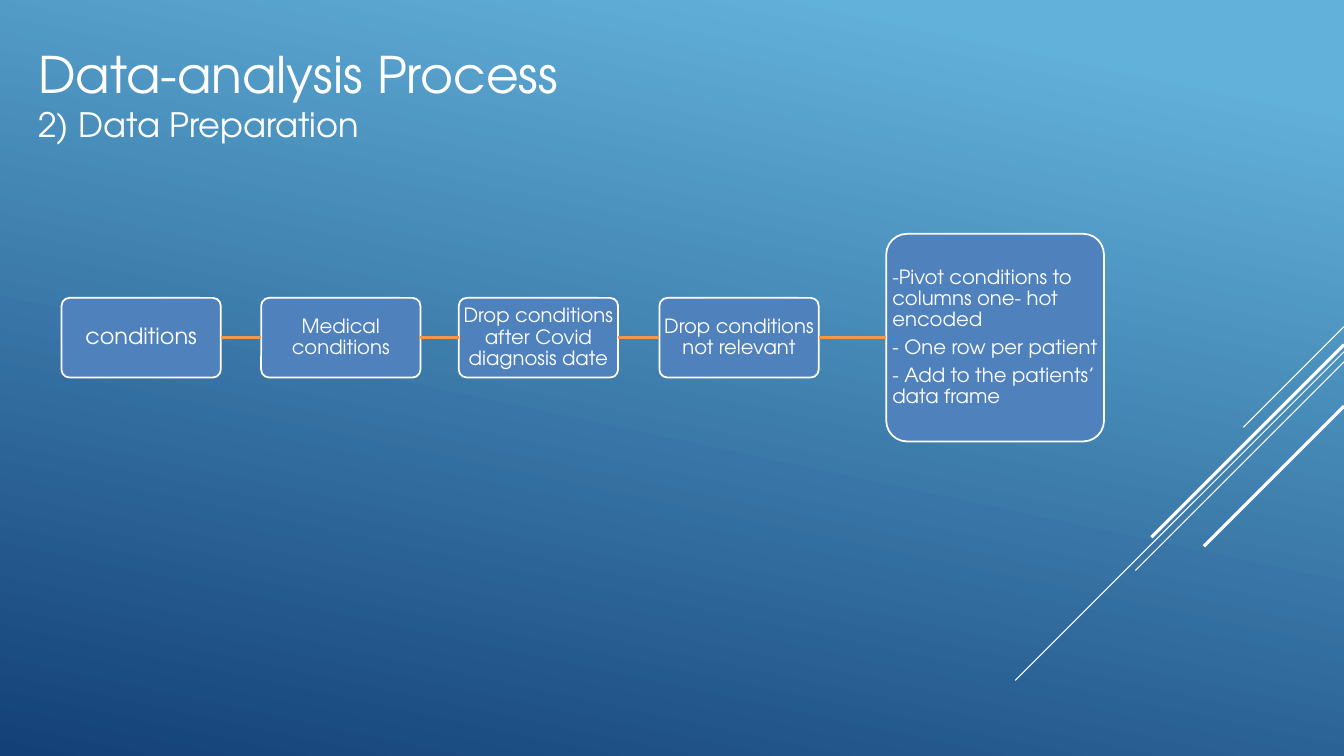
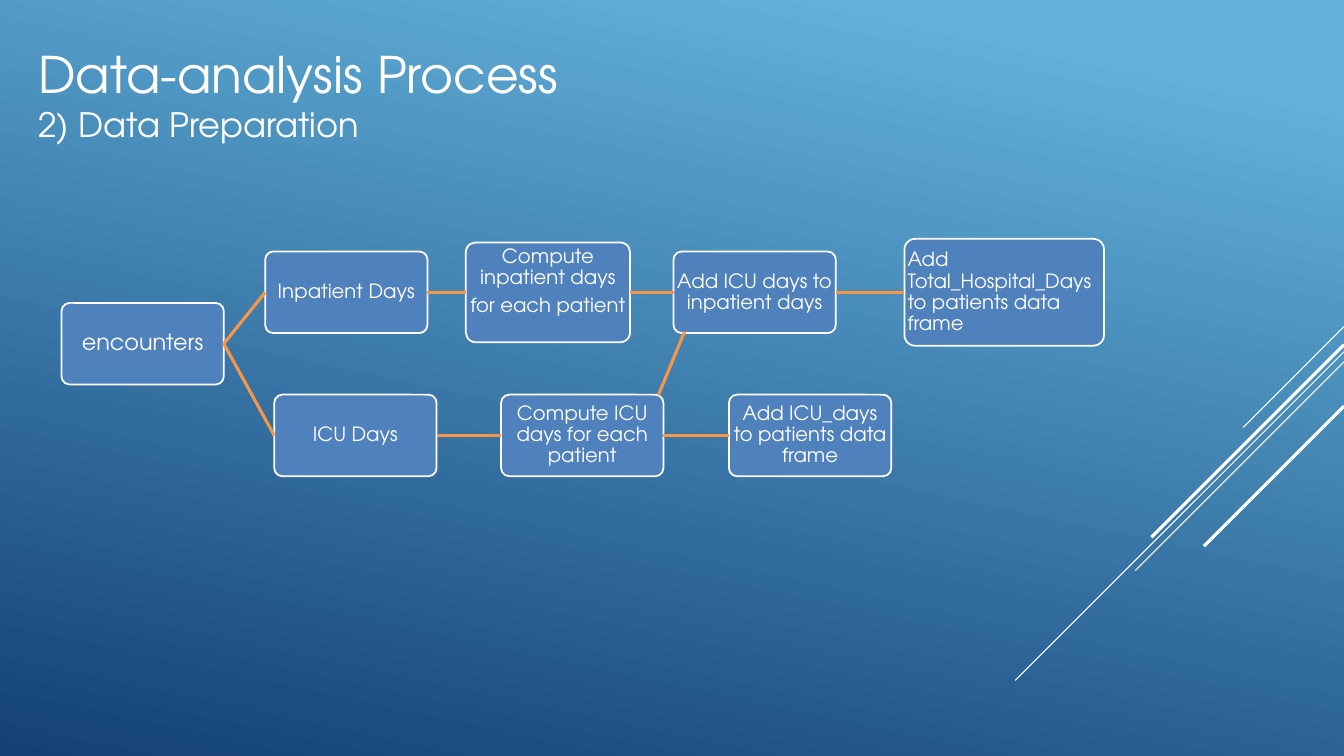
from lxml.etree import SubElement
from pptx import Presentation
from pptx.dml.color import RGBColor
from pptx.enum.shapes import MSO_CONNECTOR, MSO_SHAPE
from pptx.enum.text import MSO_ANCHOR, PP_ALIGN
from pptx.oxml.ns import qn
from pptx.util import Inches, Pt

COLORS = {"sky": "62B1DA", "navy": "134077", "box": "4F81BD", "link": "F79646", "white": "FFFFFF"}
FONT = "TeX Gyre Adventor"
TITLE_LINES = [("Data-analysis Process", 36), ("2) Data Preparation", 24)]
TITLE_AREA = (0.28, 0.29, 9.33, 1.28)
SLIDE_WIDTH = 13.33

DIAGONALS = [
    (3.24, 1.0, 0.75),
    (3.49, 3.26, 0.75),
    (3.59, 2.07, 0.75),
    (3.42, 1.91, 2.25),
    (4.03, 1.39, 2.25),
]

CONDITIONS = {
    "size": (1.58, 0.79),
    "steps": {
        "source": {"text": "conditions", "left": 0.61, "middle": 3.35, "points": 16},
        "medical": {"text": "Medical conditions", "left": 2.59, "middle": 3.35},
        "date": {"text": "Drop conditions after Covid diagnosis date", "left": 4.55, "middle": 3.35},
        "relevant": {"text": "Drop conditions not relevant", "left": 6.54, "middle": 3.35},
        "pivot": {
            "text": "-Pivot conditions to columns one- hot encoded\n"
                    "- One row per patient\n- Add to the patients’ data frame",
            "left": 8.79, "middle": 3.35, "size": (2.16, 2.06), "align": PP_ALIGN.LEFT,
        },
    },
    "chains": [["source", "medical", "date", "relevant", "pivot"]],
    "crossings": [],
}

ENCOUNTERS = {
    "size": (1.61, 0.81),
    "steps": {
        "source": {"text": "encounters", "left": 0.61, "middle": 3.41, "points": 16},
        "inpatient": {"text": "Inpatient Days", "left": 2.63, "middle": 2.9},
        "inpatient_sum": {
            "text": "Compute inpatient days\nfor each patient",
            "left": 4.62, "middle": 2.9, "size": (1.63, 0.99), "bottom_inset": 0.21,
        },
        "combined": {"text": "Add ICU days to inpatient days", "left": 6.68, "middle": 2.9},
        "total": {
            "text": "Add Total_Hospital_Days to patients data frame",
            "left": 8.97, "middle": 2.9, "size": (1.98, 1.06), "align": PP_ALIGN.LEFT,
        },
        "icu": {"text": "ICU Days", "left": 2.72, "middle": 4.32},
        "icu_sum": {"text": "Compute ICU days for each patient", "left": 4.97, "middle": 4.32},
        "icu_added": {"text": "Add ICU_days to patients data frame", "left": 7.23, "middle": 4.32},
    },
    "chains": [
        ["source", "inpatient", "inpatient_sum", "combined", "total"],
        ["source", "icu", "icu_sum", "icu_added"],
    ],
    "crossings": [(6.53, 3.92, 6.79, 3.29)],
}


def rgb(name):
    return RGBColor.from_string(COLORS[name])


def style_text(paragraph, points):
    paragraph.font.name = FONT
    paragraph.font.size = Pt(points)
    paragraph.font.color.rgb = rgb("white")


def add_line(slide, ends, color, width):
    line = slide.shapes.add_connector(MSO_CONNECTOR.STRAIGHT, *map(Inches, ends))
    line.line.color.rgb = rgb(color)
    line.line.width = Pt(width)
    SubElement(line._element.spPr, qn("a:effectLst"))
    return line


def set_up_layout(layout):
    fill = layout.background.fill
    fill.gradient()
    fill.gradient_angle = 360 - 102
    for stop, (color, position) in zip(fill.gradient_stops, [("sky", 0.1), ("navy", 1.0)]):
        stop.color.rgb = rgb(color)
        stop.position = position
    title = layout.placeholders[0]
    title.left, title.top, title.width, title.height = map(Inches, TITLE_AREA)


def move_diagonals_to_layout(slide):
    for top, run, width in DIAGONALS:
        ends = (SLIDE_WIDTH, top, SLIDE_WIDTH - run, top + run)
        diagonal = add_line(slide, ends, "white", width)
        slide.slide_layout.shapes._spTree.append(diagonal._element)


def add_title(slide):
    frame = slide.shapes.title.text_frame
    frame.text = "\n".join(text for text, _ in TITLE_LINES)
    frame.vertical_anchor = MSO_ANCHOR.MIDDLE
    for paragraph, (_, points) in zip(frame.paragraphs, TITLE_LINES):
        paragraph.alignment = PP_ALIGN.LEFT
        style_text(paragraph, points)


def add_step(slide, step, default_size):
    width, height = step.get("size", default_size)
    box = slide.shapes.add_shape(
        MSO_SHAPE.ROUNDED_RECTANGLE,
        Inches(step["left"]), Inches(step["middle"] - height / 2), Inches(width), Inches(height),
    )
    box.adjustments[0] = 0.1
    box.shadow.inherit = False
    box.fill.solid()
    box.fill.fore_color.rgb = rgb("box")
    box.line.color.rgb = rgb("white")
    box.line.width = Pt(1.25)
    frame = box.text_frame
    frame.word_wrap = True
    frame.vertical_anchor = MSO_ANCHOR.MIDDLE
    frame.margin_left = frame.margin_right = frame.margin_top = 0
    frame.margin_bottom = Inches(step.get("bottom_inset", 0))
    frame.text = step["text"]
    for index, paragraph in enumerate(frame.paragraphs):
        paragraph.alignment = step.get("align", PP_ALIGN.CENTER)
        paragraph.line_spacing = 0.9
        paragraph.space_before = Pt(5 if index else 0)
        style_text(paragraph, step.get("points", 14))
    return box


def add_flow(slide, flow):
    boxes = {name: add_step(slide, step, flow["size"]) for name, step in flow["steps"].items()}
    for chain in flow["chains"]:
        for start, end in zip(chain, chain[1:]):
            link = add_line(slide, (0, 0, 0, 0), "link", 2.25)
            link.begin_connect(boxes[start], 3)
            link.end_connect(boxes[end], 1)
    for ends in flow["crossings"]:
        add_line(slide, ends, "link", 2.25)


def main():
    deck = Presentation()
    deck.slide_width, deck.slide_height = Inches(SLIDE_WIDTH), Inches(7.5)
    layout = deck.slide_layouts[5]
    set_up_layout(layout)
    for flow in (CONDITIONS, ENCOUNTERS):
        slide = deck.slides.add_slide(layout)
        add_title(slide)
        add_flow(slide, flow)
    move_diagonals_to_layout(deck.slides[0])
    deck.save("out.pptx")


if __name__ == "__main__":
    main()
